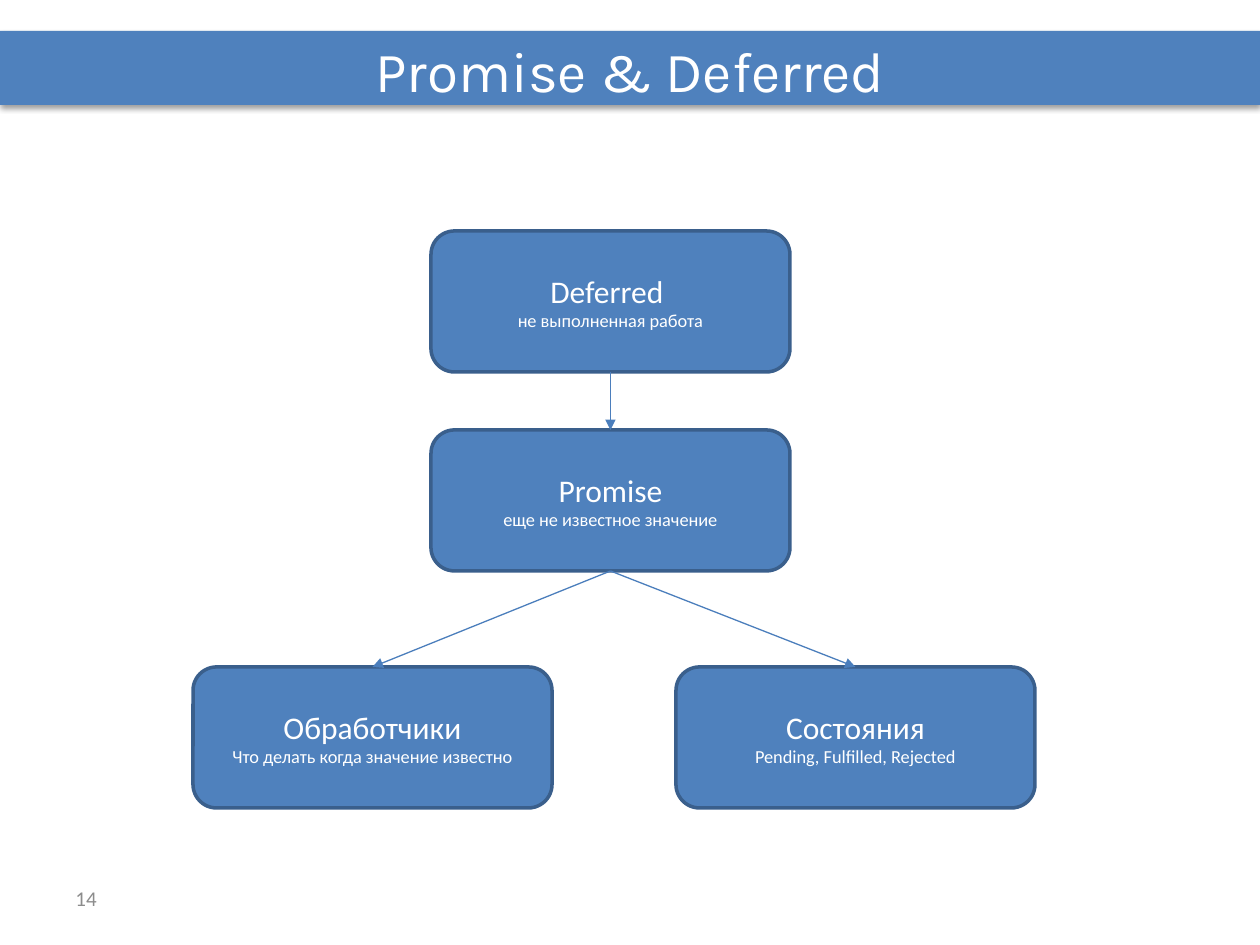
from dataclasses import dataclass

from lxml.etree import SubElement
from pptx import Presentation
from pptx.dml.color import RGBColor
from pptx.enum.shapes import MSO_CONNECTOR, MSO_SHAPE
from pptx.enum.text import MSO_ANCHOR, PP_ALIGN
from pptx.oxml.ns import qn
from pptx.util import Emu, Pt

PX = 914400 / 126
BOX_WIDTH, BOX_HEIGHT = 359, 141
BOTTOM, TOP = 2, 0


def px(length):
    """Turn pixels into EMU."""
    return Emu(round(length * PX))


@dataclass(frozen=True)
class Theme:
    """Colours, fonts and type sizes."""
    fill: str = "4F81BD"
    border: str = "3A5F8C"
    arrow: str = "4B7EBC"
    light: str = "FFFFFF"
    muted: str = "8C8C8C"
    shadow: str = "000000"
    heading_font: str = "Karla"
    body_font: str = "Calibri"
    heading_size: float = 32.4
    name_size: float = 18
    number_size: float = 12
    detail_size: float = 10.5


class Diagram:
    """Draws themed elements on the current slide."""

    def __init__(self, slide, theme):
        """Keep the slide and its theme."""
        self.shapes = slide.shapes
        self.theme = theme

    def set_text(self, paragraph, words, font, size, color, align):
        """Fill and style one paragraph."""
        paragraph.text = words
        paragraph.alignment = align
        paragraph.font.name = font
        paragraph.font.size = Pt(size)
        paragraph.font.color.rgb = RGBColor.from_string(color)

    def block(self, preset, area):
        """Add a filled shape without border or shadow."""
        block = self.shapes.add_shape(preset, *map(px, area))
        block.shadow.inherit = False
        block.fill.solid()
        block.fill.fore_color.rgb = RGBColor.from_string(self.theme.fill)
        block.line.fill.background()
        return block

    def band(self, area):
        """Add the header band with its soft shadow."""
        band = self.block(MSO_SHAPE.RECTANGLE, area)
        effects = band._element.spPr.find(qn("a:effectLst"))
        shadow = SubElement(effects, qn("a:outerShdw"), blurRad=str(Pt(3.1)),
                            dist=str(Pt(1.6)), dir="5400000", rotWithShape="0")
        color = SubElement(shadow, qn("a:srgbClr"), val=self.theme.shadow)
        SubElement(color, qn("a:alpha"), val="38000")

    def label(self, area, words, font, size, color, align):
        """Add a line of text centred vertically in its area."""
        frame = self.shapes.add_textbox(*map(px, area)).text_frame
        frame.word_wrap = True
        frame.vertical_anchor = MSO_ANCHOR.MIDDLE
        self.set_text(frame.paragraphs[0], words, font, size, color, align)

    def box(self, left, top, name, detail):
        """Add a rounded box with a name and a detail line."""
        theme = self.theme
        box = self.block(MSO_SHAPE.ROUNDED_RECTANGLE,
                         (left, top, BOX_WIDTH, BOX_HEIGHT))
        box.line.color.rgb = RGBColor.from_string(theme.border)
        box.line.width = Pt(2)
        frame = box.text_frame
        frame.word_wrap = True
        frame.vertical_anchor = MSO_ANCHOR.MIDDLE
        self.set_text(frame.paragraphs[0], name, theme.body_font,
                      theme.name_size, theme.light, PP_ALIGN.CENTER)
        self.set_text(frame.add_paragraph(), detail, theme.body_font,
                      theme.detail_size, theme.light, PP_ALIGN.CENTER)
        return box

    def arrow(self, parent, child):
        """Join the bottom of one box to the top of another."""
        arrow = self.shapes.add_connector(MSO_CONNECTOR.STRAIGHT, 0, 0, 0, 0)
        arrow.begin_connect(parent, BOTTOM)
        arrow.end_connect(child, TOP)
        arrow.line.color.rgb = RGBColor.from_string(self.theme.arrow)
        arrow.line.width = Pt(0.75)
        outline = arrow._element.spPr.find(qn("a:ln"))
        SubElement(outline, qn("a:tailEnd"), type="triangle")
        SubElement(arrow._element.spPr, qn("a:effectLst"))


def main():
    """Build and save the slide."""
    deck = Presentation()
    deck.slide_width, deck.slide_height = px(1260), px(945)
    theme = Theme()
    diagram = Diagram(deck.slides.add_slide(deck.slide_layouts[6]), theme)

    diagram.label((63, 873, 294, 50), "14", theme.body_font,
                  theme.number_size, theme.muted, PP_ALIGN.LEFT)
    diagram.band((0, 31, 1260, 74))
    diagram.label((63, 31, 1134, 78), "Promise & Deferred", theme.heading_font,
                  theme.heading_size, theme.light, PP_ALIGN.CENTER)

    deferred = diagram.box(431, 231, "Deferred ", "не выполненная работа")
    promise = diagram.box(431, 430, "Promise", "еще не известное значение")
    handlers = diagram.box(193, 667, "Обработчики",
                           "Что делать когда значение известно")
    states = diagram.box(676, 667, "Состояния", "Pending, Fulfilled, Rejected")

    for parent, child in ((deferred, promise), (promise, handlers), (promise, states)):
        diagram.arrow(parent, child)

    deck.save("out.pptx")


if __name__ == "__main__":
    main()
